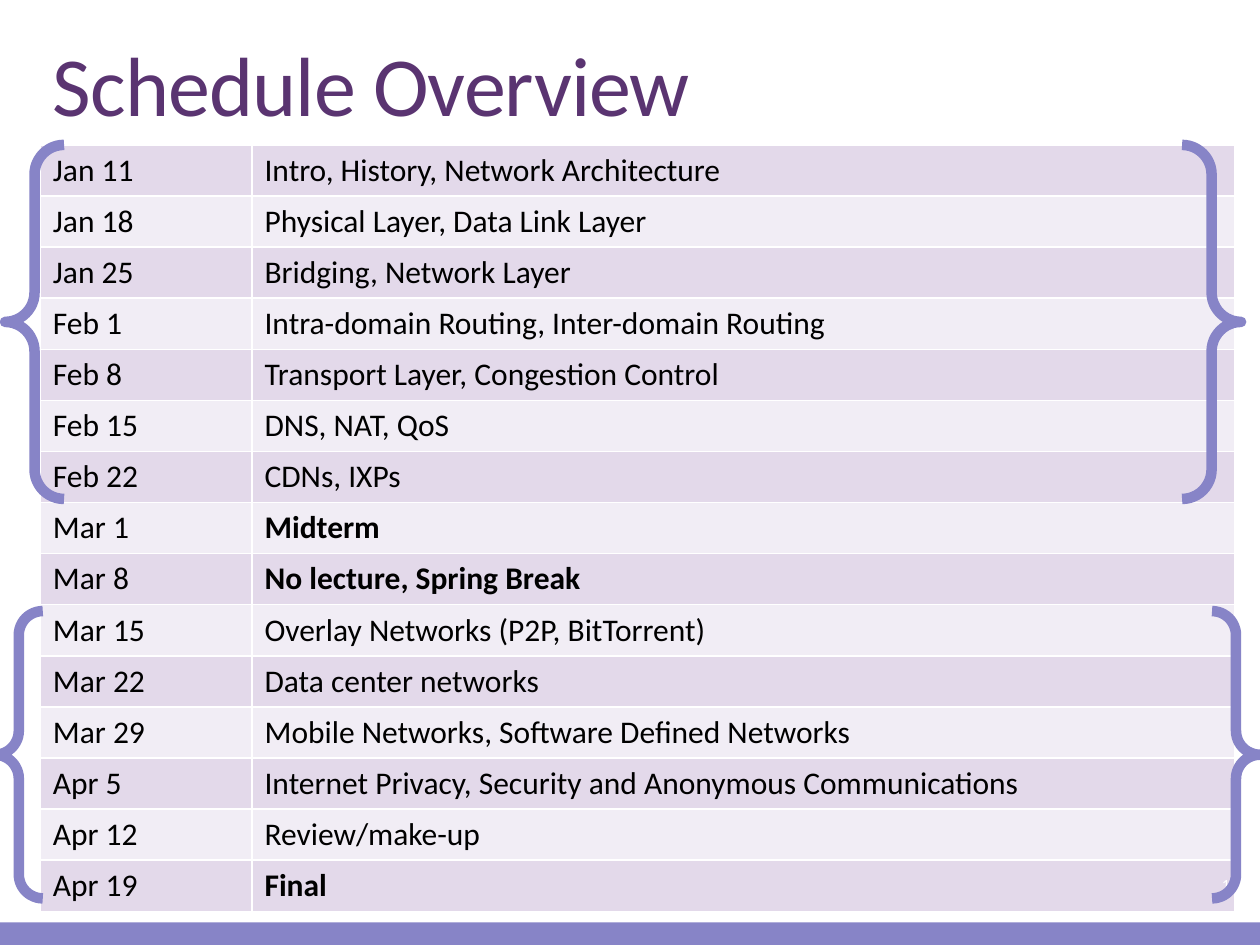
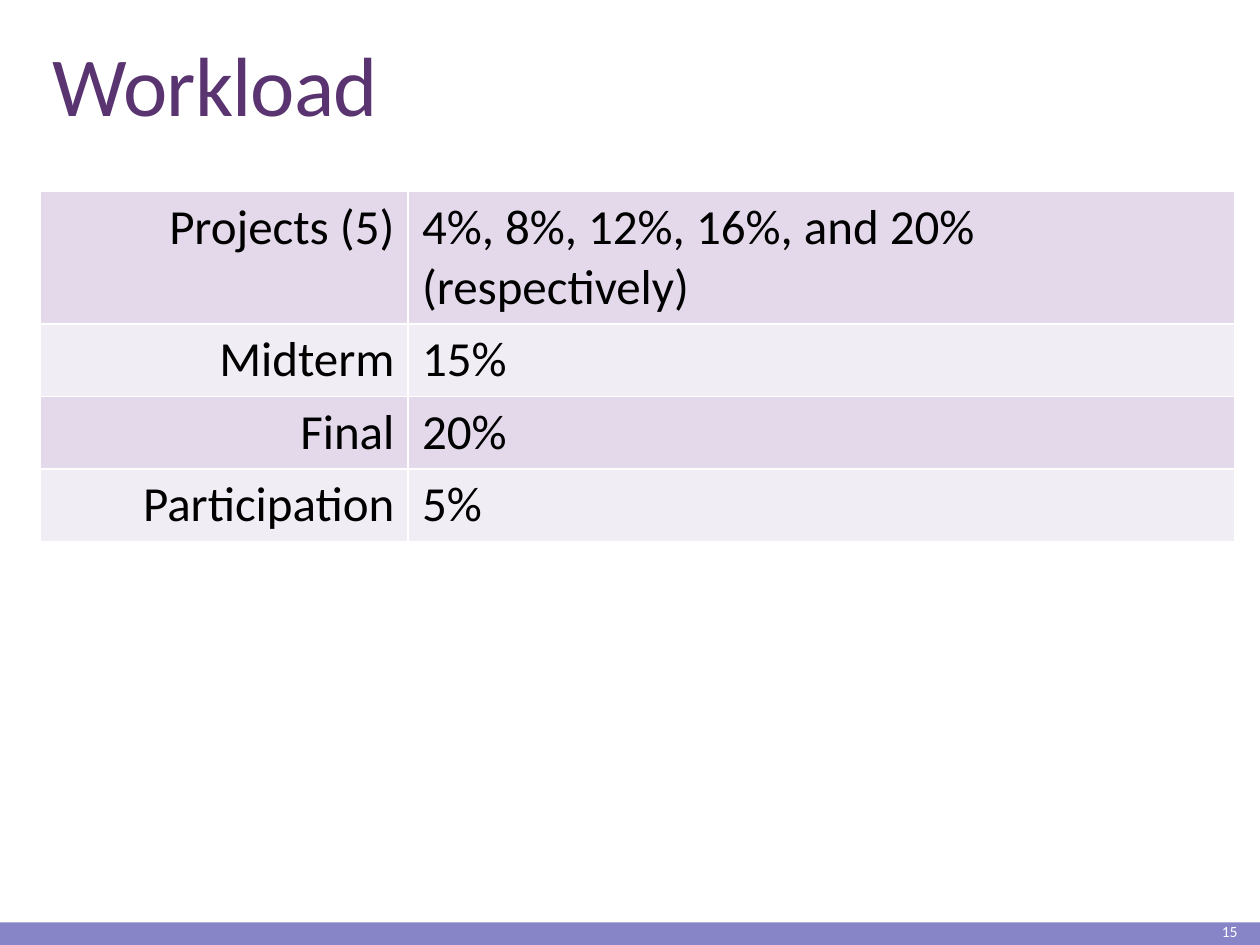
from dataclasses import dataclass
from typing import NamedTuple

from lxml.etree import SubElement
from pptx import Presentation
from pptx.dml.color import RGBColor
from pptx.enum.shapes import MSO_SHAPE as Preset
from pptx.enum.text import MSO_ANCHOR as Anchor, MSO_AUTO_SIZE as AutoSize, PP_ALIGN as Align
from pptx.oxml.ns import qn
from pptx.util import Inches, Pt

SLIDE_W, SLIDE_H = 10, 7.5
FONT = "Calibri"
COLORS = {
    "title": "5A3471",
    "accent": "8784C7",
    "odd_row": "E3D9EA",
    "even_row": "F1EDF5",
    "text": "000000",
    "white": "FFFFFF",
}
LEFT, CONTENT_W = 0.32, 9.48
BAND_H = 0.18
NUMBER_H = 0.22


class Box(NamedTuple):
    left: float
    top: float
    width: float
    height: float

    def emu(self) -> list:
        return [Inches(length) for length in self]


TITLE_BOX = Box(LEFT, 0.31, CONTENT_W, 0.8)
BAND_BOX = Box(0, SLIDE_H - BAND_H, SLIDE_W, BAND_H)


class Entry(NamedTuple):
    label: str
    detail: str
    bold: bool = False


@dataclass
class Grid:
    top: float
    label_width: float
    row_heights: list[float]
    size: float
    margin: float
    label_align: Align
    entries: list[Entry]


@dataclass
class Page:
    title: str
    number: str
    number_top: float
    grid: Grid
    braces: tuple[Box, ...] = ()


SCHEDULE = [
    Entry("Jan 11", "Intro, History, Network Architecture"),
    Entry("Jan 18", "Physical Layer, Data Link Layer"),
    Entry("Jan 25", "Bridging, Network Layer"),
    Entry("Feb 1", "Intra-domain Routing, Inter-domain Routing"),
    Entry("Feb 8", "Transport Layer, Congestion Control"),
    Entry("Feb 15", "DNS, NAT, QoS"),
    Entry("Feb 22", "CDNs, IXPs"),
    Entry("Mar 1", "Midterm", bold=True),
    Entry("Mar 8", "No lecture, Spring Break", bold=True),
    Entry("Mar 15", "Overlay Networks (P2P, BitTorrent)"),
    Entry("Mar 22", "Data center networks"),
    Entry("Mar 29", "Mobile Networks, Software Defined Networks"),
    Entry("Apr 5", "Internet Privacy, Security and Anonymous Communications"),
    Entry("Apr 12", "Review/make-up"),
    Entry("Apr 19", "Final", bold=True),
]
WORKLOAD = [
    Entry("Projects (5)", "4%, 8%, 12%, 16%, and 20% (respectively)"),
    Entry("Midterm", "15%"),
    Entry("Final", "20%"),
    Entry("Participation", "5%"),
]
PAGES = [
    Page(
        "Schedule Overview", "12", 6.91,
        Grid(1.15, 1.68, [6.08 / len(SCHEDULE)] * len(SCHEDULE), 18, 0.1, Align.LEFT, SCHEDULE),
        braces=(Box(0.04, 1.15, 9.81, 2.81), Box(-0.04, 4.85, 10.04, 2.28)),
    ),
    Page(
        "Workload", "15", SLIDE_H - NUMBER_H,
        Grid(1.52, 2.92, [1.05] + [0.57] * 3, 28, 0.11, Align.RIGHT, WORKLOAD),
    ),
]


def color(name: str) -> RGBColor:
    return RGBColor.from_string(COLORS[name])


def write(frame, text: str, size: float, ink: str, align=Align.LEFT, bold=False):
    """Add one formatted run to the first paragraph and return the run."""
    paragraph = frame.paragraphs[0]
    paragraph.alignment = align
    run = paragraph.add_run()
    run.text = text
    run.font.name = FONT
    run.font.size = Pt(size)
    run.font.bold = bold
    run.font.color.rgb = color(ink)
    return run


def set_title(slide, text: str) -> None:
    title = slide.shapes.title
    title.left, title.top, title.width, title.height = TITLE_BOX.emu()
    frame = title.text_frame
    frame.auto_size = AutoSize.NONE
    frame.vertical_anchor = Anchor.BOTTOM
    run = write(frame, text, 48, "title")
    run.font._element.set("spc", "-50")
    frame.paragraphs[0].line_spacing = 0.85


def add_band(slide) -> None:
    band = slide.shapes.add_shape(Preset.RECTANGLE, *BAND_BOX.emu())
    band.shadow.inherit = False
    band.fill.solid()
    band.fill.fore_color.rgb = color("accent")
    band.line.fill.background()


def add_number(slide, number: str, top: float) -> None:
    frame = slide.shapes.add_textbox(*Box(8.84, top, 1.08, NUMBER_H).emu()).text_frame
    frame.word_wrap = True
    frame.vertical_anchor = Anchor.MIDDLE
    write(frame, number, 8.9, "white", Align.RIGHT)


def add_borders(cell) -> None:
    properties = cell._tc.get_or_add_tcPr()
    for side in ("lnL", "lnR", "lnT", "lnB"):
        edge = SubElement(properties, qn(f"a:{side}"), w=str(Pt(1)))
        fill = SubElement(edge, qn("a:solidFill"))
        SubElement(fill, qn("a:srgbClr"), val=COLORS["white"])


def add_grid(slide, grid: Grid) -> None:
    box = Box(LEFT, grid.top, CONTENT_W, sum(grid.row_heights))
    table = slide.shapes.add_table(len(grid.entries), 2, *box.emu()).table
    table.first_row = table.horz_banding = False
    table.columns[0].width = Inches(grid.label_width)
    table.columns[1].width = Inches(CONTENT_W - grid.label_width)
    for index, (entry, height) in enumerate(zip(grid.entries, grid.row_heights)):
        row = table.rows[index]
        row.height = Inches(height)
        label, detail = row.cells
        for cell in (label, detail):
            add_borders(cell)
            cell.fill.solid()
            cell.fill.fore_color.rgb = color("even_row" if index % 2 else "odd_row")
            cell.margin_left = cell.margin_right = Inches(grid.margin)
            cell.margin_top = cell.margin_bottom = Inches(0.05)
        write(label.text_frame, entry.label, grid.size, "text", grid.label_align)
        write(detail.text_frame, entry.detail, grid.size, "text", bold=entry.bold)


def add_brace(slide, box: Box) -> None:
    brace = slide.shapes.add_shape(Preset.DOUBLE_BRACE, *box.emu())
    brace.shadow.inherit = False
    brace.fill.background()
    brace.line.color.rgb = color("accent")
    brace.line.width = Pt(6)


def add_page(deck, page: Page) -> None:
    slide = deck.slides.add_slide(deck.slide_layouts.get_by_name("Title Only"))
    add_band(slide)
    set_title(slide, page.title)
    add_grid(slide, page.grid)
    add_number(slide, page.number, page.number_top)
    for box in page.braces:
        add_brace(slide, box)


def main() -> None:
    deck = Presentation()
    deck.slide_width, deck.slide_height = Inches(SLIDE_W), Inches(SLIDE_H)
    for page in PAGES:
        add_page(deck, page)
    deck.save("out.pptx")


if __name__ == "__main__":
    main()
